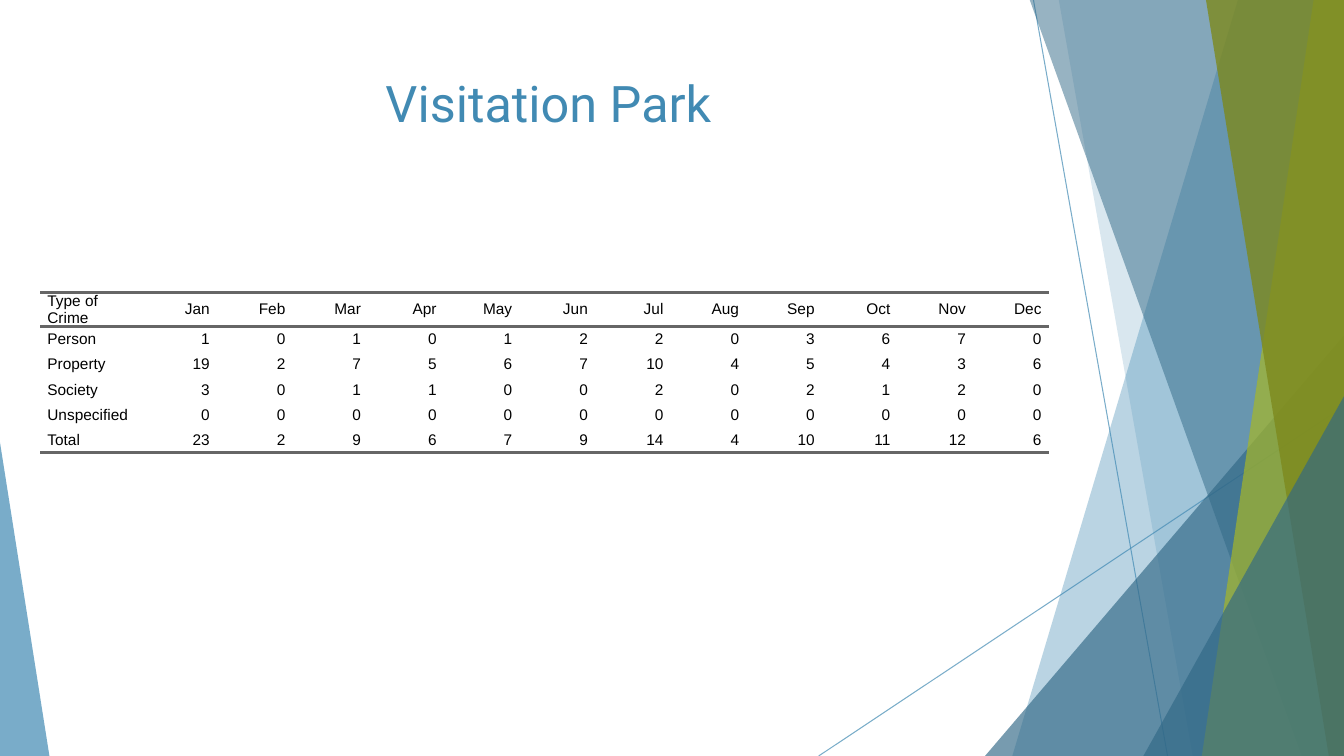
import pptx
import pptx.dml.color
import pptx.enum.shapes
import pptx.enum.text
import pptx.oxml
import pptx.oxml.ns
import pptx.util
from lxml import etree
from pptx.util import Inches

WIDTH, HEIGHT, TOP = 13.33, 7.5, -0.01
BLUE, DARK_BLUE, LIME, OLIVE = "418AB3", "316886", "A6B727", "7D891D"
RULE_COLOR = "666666"
PLAIN_TABLE_STYLE = "{2D5ABB26-0587-4C30-8999-92F81FD0307C}"

MONTHS = "Jan Feb Mar Apr May Jun Jul Aug Sep Oct Nov Dec".split()
CRIMES = {
    "Person": [1, 0, 1, 0, 1, 2, 2, 0, 3, 6, 7, 0],
    "Property": [19, 2, 7, 5, 6, 7, 10, 4, 5, 4, 3, 6],
    "Society": [3, 0, 1, 1, 0, 0, 2, 0, 2, 1, 2, 0],
    "Unspecified": [0] * 12,
}


def set_color(color_format, color, opacity=100):
    color_format.rgb = pptx.dml.color.RGBColor.from_string(color)


def set_opacity(element, opacity):
    color = element.find(".//" + pptx.oxml.ns.qn("a:srgbClr"))
    etree.SubElement(color, pptx.oxml.ns.qn("a:alpha"), val=str(opacity * 1000))


def paint(shape, color, opacity):
    shape.shadow.inherit = False
    shape.fill.solid()
    set_color(shape.fill.fore_color, color)
    set_opacity(shape._element.spPr, opacity)
    shape.line.fill.background()


def add_line(page, start, end):
    line = page.shapes.add_connector(
        pptx.enum.shapes.MSO_CONNECTOR.STRAIGHT, *map(Inches, start + end))
    line.line.width = pptx.util.Pt(0.75)
    set_color(line.line.color, BLUE)
    properties = line._element.spPr
    set_opacity(properties, 70)
    etree.SubElement(properties, pptx.oxml.ns.qn("a:effectLst"))


def add_band(page, top_left, top_right, bottom_left, color, opacity):
    corners = [(top_right, TOP), (WIDTH, HEIGHT), (bottom_left, HEIGHT)]
    builder = page.shapes.build_freeform(Inches(top_left), Inches(TOP), scale=1.0)
    builder.add_line_segments([(Inches(x), Inches(y)) for x, y in corners], close=True)
    paint(builder.convert_to_shape(), color, opacity)


def add_triangle(page, left, top, width, apex, color, opacity):
    triangle = page.shapes.add_shape(
        pptx.enum.shapes.MSO_SHAPE.ISOSCELES_TRIANGLE,
        Inches(left), Inches(top), Inches(width), Inches(HEIGHT - top))
    triangle.adjustments[0] = apex
    paint(triangle, color, opacity)


def add_title(page, text):
    box = page.shapes.add_textbox(Inches(0.74), Inches(0.67), Inches(9.4), Inches(1.44))
    box.text_frame.word_wrap = True
    para = box.text_frame.paragraphs[0]
    para.text = text
    para.alignment = pptx.enum.text.PP_ALIGN.CENTER
    para.font.name = "Roboto"
    para.font.size = pptx.util.Pt(36)
    set_color(para.font.color, BLUE)


def add_rule(cell, side):
    rule = etree.SubElement(cell._tc.get_or_add_tcPr(), pptx.oxml.ns.qn("a:" + side),
                            w=str(pptx.util.Pt(2)))
    fill = etree.SubElement(rule, pptx.oxml.ns.qn("a:solidFill"))
    etree.SubElement(fill, pptx.oxml.ns.qn("a:srgbClr"), val=RULE_COLOR)


def fill_cell(cell, text, alignment, rules):
    cell.margin_left = cell.margin_right = Inches(0.07)
    cell.margin_top = cell.margin_bottom = 0
    cell.vertical_anchor = pptx.enum.text.MSO_ANCHOR.MIDDLE
    for side in rules:
        add_rule(cell, side)
    cell.fill.background()
    para = cell.text_frame.paragraphs[0]
    para.text = str(text)
    para.alignment = alignment
    para.space_before = para.space_after = pptx.util.Pt(5)
    para.font.name = "Arial"
    para.font.size = pptx.util.Pt(11)
    set_color(para.font.color, "000000")


def add_crime_table(page):
    totals = [sum(month) for month in zip(*CRIMES.values())]
    rows = [["Type of Crime", *MONTHS]]
    rows += [[crime, *counts] for crime, counts in CRIMES.items()]
    rows.append(["Total", *totals])
    rules = {0: ["lnT", "lnB"], len(rows) - 1: ["lnB"]}
    align = pptx.enum.text.PP_ALIGN
    frame = page.shapes.add_table(len(rows), len(rows[0]), Inches(0.4), Inches(2.9),
                                  Inches(10), Inches(0.25 * len(rows)))
    table = frame.table
    table.first_row = table.horz_banding = False
    table._tbl.tblPr.find(pptx.oxml.ns.qn("a:tableStyleId")).text = PLAIN_TABLE_STYLE
    for index, column in enumerate(table.columns):
        column.width = Inches(0.75 if index else 1)
    for r, row in enumerate(rows):
        table.rows[r].height = Inches(0.25)
        for c, text in enumerate(row):
            fill_cell(table.cell(r, c), text, align.RIGHT if c else align.LEFT,
                      rules.get(r, []))


def main():
    deck = pptx.Presentation()
    deck.slide_width, deck.slide_height = Inches(WIDTH), Inches(HEIGHT)
    page = deck.slides.add_slide(deck.slide_layouts[6])
    add_line(page, (10.25, 0), (11.58, HEIGHT))
    add_line(page, (WIDTH, 4.03), (8.12, HEIGHT))
    add_band(page, 12.28, WIDTH, 10.04, BLUE, 36)
    add_band(page, 10.5, WIDTH, 11.83, BLUE, 20)
    add_triangle(page, 9.77, 3.33, 3.56, 1, DARK_BLUE, 66)
    add_band(page, 10.21, WIDTH, 12.91, DARK_BLUE, 50)
    add_band(page, 13.03, WIDTH, 11.92, LIME, 70)
    add_band(page, 11.96, WIDTH, 13.18, OLIVE, 80)
    add_triangle(page, 11.34, 3.93, 1.99, 1, DARK_BLUE, 66)
    add_triangle(page, 0, 4.39, 0.49, 0, BLUE, 70)
    add_crime_table(page)
    add_title(page, "Visitation Park")
    deck.save("out.pptx")


if __name__ == "__main__":
    main()
